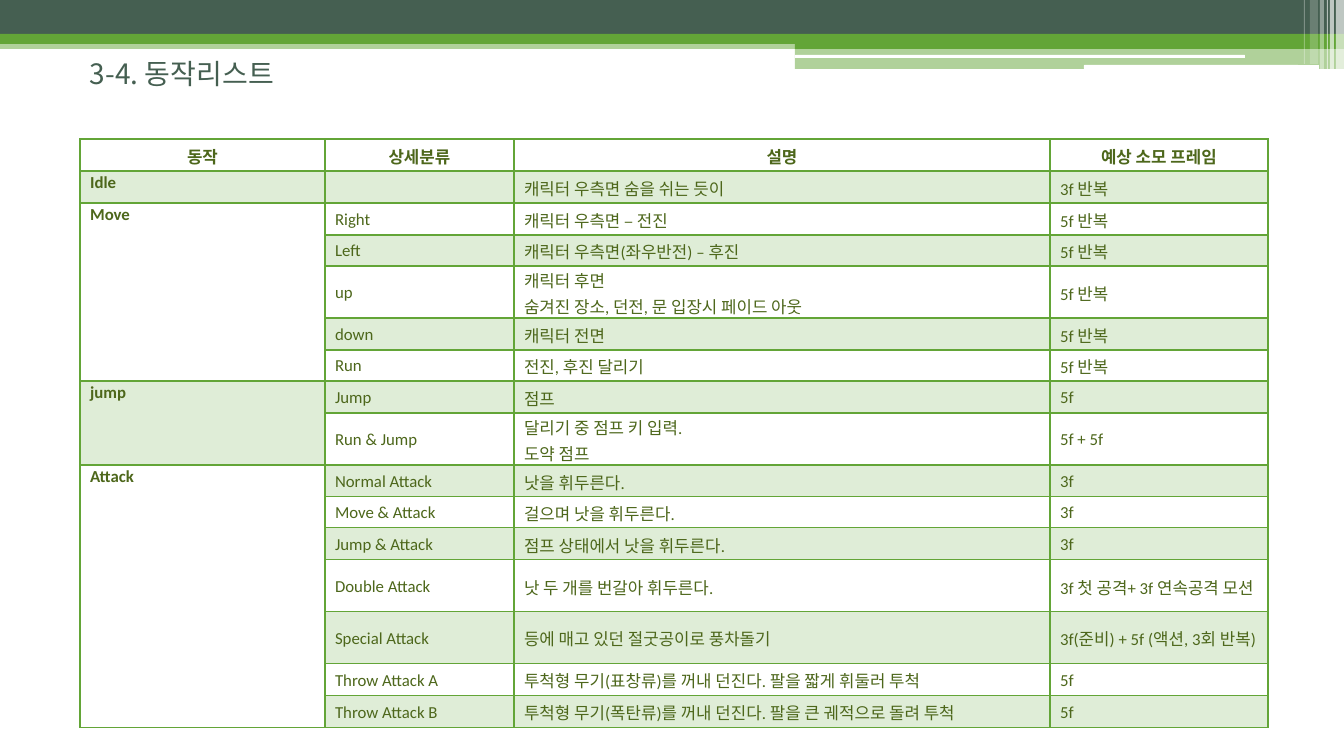
from lxml import etree
from pptx import Presentation, util as u
from pptx.dml.color import RGBColor
from pptx.enum import shapes, text
from pptx.oxml import ns

PX = 12192000 / 1344
PINE = RGBColor(0x45, 0x5F, 0x51)
GREEN = RGBColor(0x63, 0xA5, 0x37)
OLIVE = RGBColor(0x4D, 0x67, 0x1B)
WHITE = RGBColor(0xFF, 0xFF, 0xFF)
LATIN = "Calibri"
KOREAN = "Noto Sans CJK KR"

BANDS = [
    (0, 40, 1344, 9, GREEN, 50),
    (0, 0, 1344, 34, PINE, 100),
    (0, 34, 1344, 10, GREEN, 100),
    (795, 39, 549, 10, GREEN, 100),
    (795, 49, 549, 20, GREEN, 50),
]
PILLS = [(795, 55, 450, 3), (1084, 65, 235, 4)]
STRIPES = [
    (1336, 8, 69, 65),
    (1330, 4, 69, 65),
    (1327, 1, 69, 60),
    (1320, 4, 69, 40),
    (1310, 8, 64, 20),
    (1304, 1, 64, 30),
]
HEADINGS = ["동작", "상세분류", "설명", "예상 소모 프레임"]
ACTIONS = [
    ("Idle", [("", "캐릭터 우측면 숨을 쉬는 듯이", "3f 반복")]),
    ("Move", [
        ("Right", "캐릭터 우측면 – 전진", "5f 반복"),
        ("Left", "캐릭터 우측면(좌우반전) – 후진", "5f 반복"),
        ("up", "캐릭터 후면\n숨겨진 장소, 던전, 문 입장시 페이드 아웃", "5f 반복"),
        ("down", "캐릭터 전면", "5f 반복"),
        ("Run", "전진, 후진 달리기", "5f 반복"),
    ]),
    ("jump", [
        ("Jump", "점프", "5f"),
        ("Run & Jump", "달리기 중 점프 키 입력.\n도약 점프", "5f + 5f"),
    ]),
    ("Attack", [
        ("Normal Attack", "낫을 휘두른다.", "3f"),
        ("Move & Attack", "걸으며 낫을 휘두른다.", "3f"),
        ("Jump & Attack", "점프 상태에서 낫을 휘두른다.", "3f"),
        ("Double Attack", "낫 두 개를 번갈아 휘두른다.", "3f 첫 공격+ 3f 연속공격 모션"),
        ("Special Attack", "등에 매고 있던 절굿공이로 풍차돌기", "3f(준비) + 5f (액션, 3회 반복)"),
        ("Throw Attack A", "투척형 무기(표창류)를 꺼내 던진다. 팔을 짧게 휘둘러 투척", "5f"),
        ("Throw Attack B", "투척형 무기(폭탄류)를 꺼내 던진다. 팔을 큰 궤적으로 돌려 투척", "5f"),
    ]),
]
COLUMNS = [245, 189, 536, 218]
ROWS = [32, 32, 32, 31, 52, 32, 31, 32, 52, 32, 31, 32, 52, 52, 32, 32]


def emu(px):
    return u.Emu(round(px * PX))


class ActionSlide:
    """Draws the elements of one slide in the green house style."""

    def __init__(self, deck):
        self.slide = deck.slides.add_slide(deck.slide_layouts[6])

    def paint(self, fill, color, opacity):
        fill.solid()
        fill.fore_color.rgb = color
        if opacity < 100:
            tint = fill._xPr.find(".//" + ns.qn("a:srgbClr"))
            etree.SubElement(tint, ns.qn("a:alpha"), val=str(opacity * 1000))

    def bar(self, box, color, opacity=100, kind=shapes.MSO_SHAPE.RECTANGLE):
        bar = self.slide.shapes.add_shape(kind, *map(emu, box))
        bar.shadow.inherit = False
        bar.line.fill.background()
        self.paint(bar.fill, color, opacity)

    def letter(self, frame, wording, size, color, latin, bold=False,
               align=text.PP_ALIGN.LEFT, spacing=1.0):
        frame.text = wording
        for paragraph in frame.paragraphs:
            paragraph.alignment = align
            paragraph.line_spacing = spacing
            for run in paragraph.runs:
                run.font.size = u.Pt(size)
                run.font.bold = bold
                run.font.name = latin
                run.font.color.rgb = color
                etree.SubElement(run._r.get_or_add_rPr(), ns.qn("a:ea"), typeface=KOREAN)

    def title(self, box, wording):
        frame = self.slide.shapes.add_textbox(*map(emu, box)).text_frame
        frame.word_wrap = True
        frame.vertical_anchor = text.MSO_ANCHOR.MIDDLE
        self.letter(frame, wording, 20, PINE, KOREAN)

    def grid(self, left, top, columns, rows):
        frame = self.slide.shapes.add_table(
            len(rows), len(columns), emu(left), emu(top), emu(sum(columns)), emu(sum(rows)))
        table = frame.table
        table.first_row = table.horz_banding = False
        for column, width in zip(table.columns, columns):
            column.width = emu(width)
        for row, height in zip(table.rows, rows):
            row.height = emu(height)
        return table

    def cell(self, cell, wording, shaded=False, heading=False, group=False, top=1):
        cell.margin_left = cell.margin_right = u.Inches(0.1)
        cell.margin_top = cell.margin_bottom = 0
        cell.vertical_anchor = text.MSO_ANCHOR.TOP if group else text.MSO_ANCHOR.MIDDLE
        align = text.PP_ALIGN.CENTER if heading else text.PP_ALIGN.JUSTIFY
        self.letter(cell.text_frame, wording, 12, OLIVE, LATIN, heading or group, align, 1.07)
        if shaded:
            self.paint(cell.fill, GREEN, 20)
        else:
            cell.fill.background()
        edges = [("L", 1), ("R", 1), ("T", top), ("B", 2 if heading else 1)]
        for place, (side, points) in enumerate(edges):
            edge = etree.Element(ns.qn("a:ln" + side), w=str(u.Pt(points)))
            solid = etree.SubElement(edge, ns.qn("a:solidFill"))
            etree.SubElement(solid, ns.qn("a:srgbClr"), val=str(GREEN))
            cell._tc.get_or_add_tcPr().insert(place, edge)


def main():
    deck = Presentation()
    deck.slide_width, deck.slide_height = emu(1344), emu(756)
    page = ActionSlide(deck)
    for *box, color, opacity in BANDS:
        page.bar(box, color, opacity)
    for box in PILLS:
        page.bar(box, WHITE, kind=shapes.MSO_SHAPE.ROUNDED_RECTANGLE)
    for left, width, height, opacity in STRIPES:
        page.bar((left, 0, width, height), WHITE, opacity)
    page.title((80, 51, 1190, 44), "3-4. 동작리스트")

    table = page.grid(80, 139, COLUMNS, ROWS)
    for col, heading in enumerate(HEADINGS):
        page.cell(table.cell(0, col), heading, heading=True)
    row = 1
    for order, (action, details) in enumerate(ACTIONS):
        first = row
        for detail in details:
            top = 2 if row == 1 else 1
            page.cell(table.cell(row, 0), action if row == first else "",
                      shaded=order % 2 == 0, group=True, top=top)
            for col, wording in enumerate(detail, 1):
                page.cell(table.cell(row, col), wording, shaded=row % 2 == 1, top=top)
            row += 1
        if len(details) > 1:
            table.cell(first, 0).merge(table.cell(row - 1, 0))
    deck.save("out.pptx")


if __name__ == "__main__":
    main()
